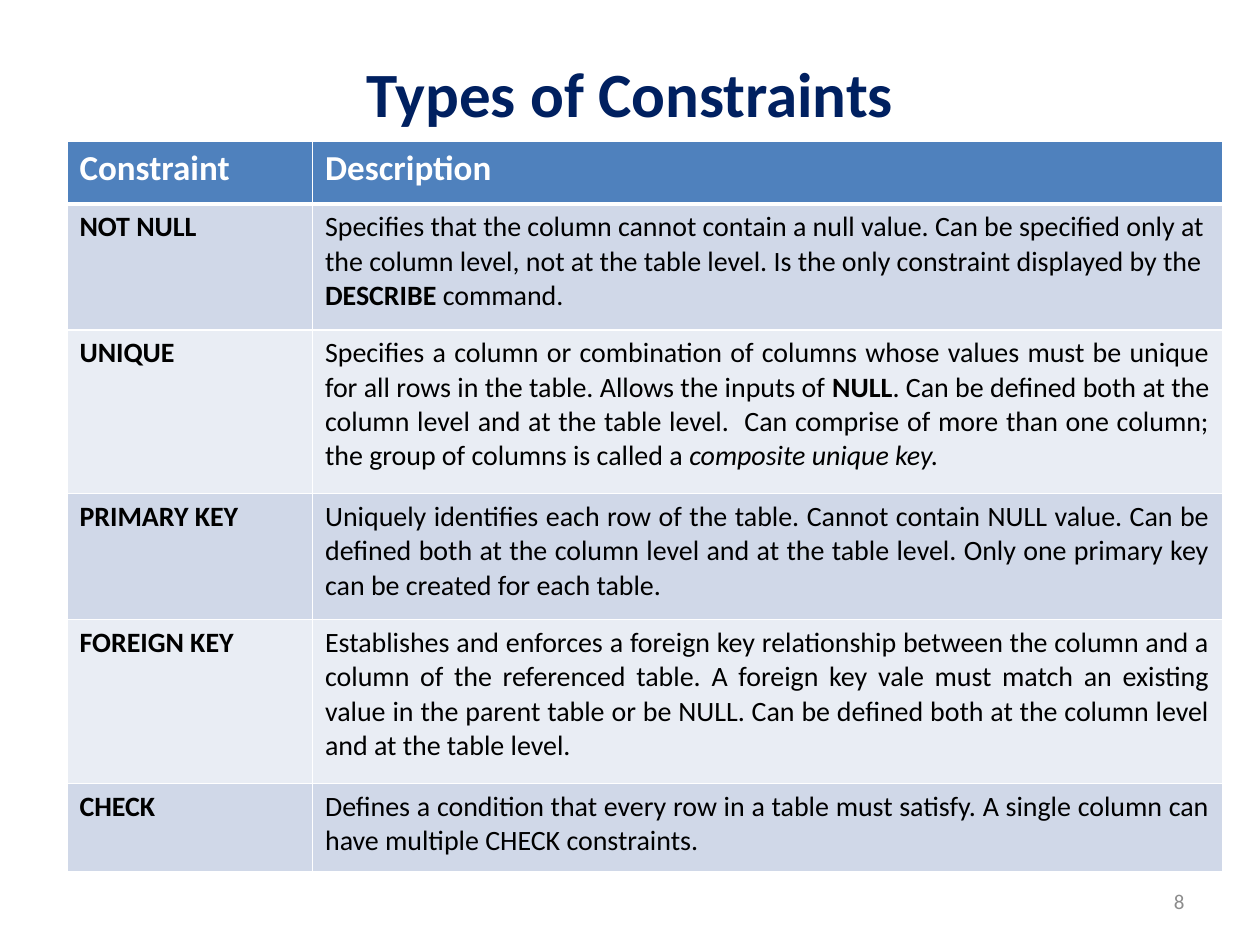
from dataclasses import dataclass

from lxml import etree
from pptx import Presentation
from pptx.dml.color import RGBColor
from pptx.enum.text import MSO_ANCHOR, PP_ALIGN
from pptx.oxml.ns import qn
from pptx.util import Cm, Pt

LEFT, CENTER, RIGHT, JUSTIFY = PP_ALIGN.LEFT, PP_ALIGN.CENTER, PP_ALIGN.RIGHT, PP_ALIGN.JUSTIFY
MIDDLE = MSO_ANCHOR.MIDDLE


@dataclass(frozen=True)
class Theme:
    font: str = "Calibri"
    title: str = "002060"
    header: str = "4F81BD"
    bands: tuple = ("D0D8E8", "E9EDF4")
    white: str = "FFFFFF"
    black: str = "000000"
    gray: str = "8C8C8C"
    title_size: int = 36
    header_size: int = 20
    body_size: int = 16
    number_size: int = 12


THEME = Theme()


def write(frame, runs, size, color, alignment):
    """Fill the first paragraph with (text, style) runs; style holds b and/or i."""
    paragraph = frame.paragraphs[0]
    paragraph.alignment = alignment
    for text, style in runs:
        run = paragraph.add_run()
        run.text = text
        run.font.name = THEME.font
        run.font.size = Pt(size)
        run.font.bold = "b" in style
        run.font.italic = "i" in style
        run.font.color.rgb = RGBColor.from_string(color)


def add_border(cell, side, width):
    line = etree.SubElement(cell._tc.get_or_add_tcPr(), qn(f"a:ln{side}"), w=str(Pt(width)))
    fill = etree.SubElement(line, qn("a:solidFill"))
    etree.SubElement(fill, qn("a:srgbClr"), val=THEME.white)


presentation = Presentation()
presentation.slide_width, presentation.slide_height = Cm(25.4), Cm(19.05)
slide = presentation.slides.add_slide(presentation.slide_layouts[6])

# Constraint table: name, description runs, description alignment
constraints = [
    ("NOT NULL", [
        ("Specifies that the column cannot contain a null value. Can be specified only at the "
         "column level, not at the table level. Is the only constraint displayed by the ", ""),
        ("DESCRIBE ", "b"),
        ("command.", ""),
    ], LEFT),
    ("UNIQUE", [
        ("Specifies a column or combination of columns whose values must be unique for all rows "
         "in the table. Allows the inputs of ", ""),
        ("NULL", "b"),
        (". Can be defined both at the column level and at the table level.  Can comprise of more "
         "than one column; the group of columns is called a ", ""),
        ("composite unique key.", "i"),
    ], JUSTIFY),
    ("PRIMARY KEY", [
        ("Uniquely identifies each row of the table. Cannot contain NULL value. Can be defined "
         "both at the column level and at the table level. Only one primary key can be created "
         "for each table.", ""),
    ], JUSTIFY),
    ("FOREIGN KEY", [
        ("Establishes and enforces a foreign key relationship between the column and a column of "
         "the referenced table. A foreign key vale must match an existing value in the parent "
         "table or be NULL. Can be defined both at the column level and at the table level. ", ""),
    ], JUSTIFY),
    ("CHECK", [
        ("Defines a condition that every row in a table must satisfy. A single column can have "
         "multiple CHECK constraints.", ""),
    ], JUSTIFY),
]
rows = [("Constraint", [("Description", "b")], LEFT)] + constraints
column_widths = [4.95, 18.34]
row_heights = [1.27, 2.54, 3.3, 2.54, 3.3, 1.78]

table = slide.shapes.add_table(
    len(rows), len(column_widths), Cm(1.35), Cm(2.84),
    Cm(sum(column_widths)), Cm(sum(row_heights)),
).table
for column, width in zip(table.columns, column_widths):
    column.width = Cm(width)
for row, height in zip(table.rows, row_heights):
    row.height = Cm(height)

for index, (name, description, alignment) in enumerate(rows):
    is_header = index == 0
    fill_color = THEME.header if is_header else THEME.bands[(index - 1) % 2]
    text_color = THEME.white if is_header else THEME.black
    size = THEME.header_size if is_header else THEME.body_size
    contents = [([(name, "b")], LEFT), (description, alignment)]
    for cell, (runs, cell_alignment) in zip(table.rows[index].cells, contents):
        border_widths = {"L": 1, "R": 1, "T": 3 if index == 1 else 1, "B": 3 if is_header else 1}
        for side, border_width in border_widths.items():
            add_border(cell, side, border_width)
        cell.fill.solid()
        cell.fill.fore_color.rgb = RGBColor.from_string(fill_color)
        write(cell.text_frame, runs, size, text_color, cell_alignment)

# Title and slide number
labels = [
    ("Types of Constraints", "b", (1.27, 0.76, 22.86, 2.21), THEME.title_size, THEME.title, CENTER),
    ("8", "", (18.21, 17.65, 5.92, 1.02), THEME.number_size, THEME.gray, RIGHT),
]
for text, style, box, size, color, alignment in labels:
    frame = slide.shapes.add_textbox(*map(Cm, box)).text_frame
    frame.word_wrap = True
    frame.vertical_anchor = MIDDLE
    write(frame, [(text, style)], size, color, alignment)

presentation.save("out.pptx")
